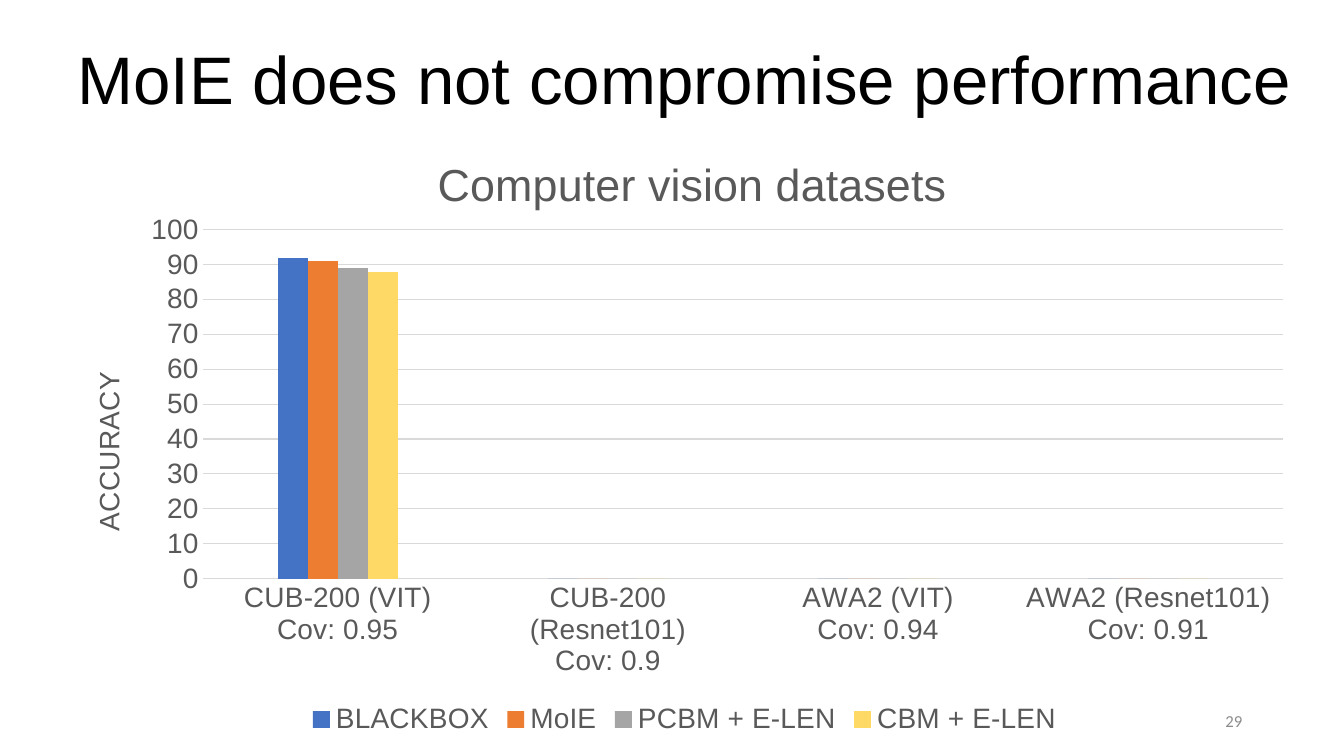
"""Build a slide with a clustered column chart of accuracy on vision datasets."""
import pptx
import pptx.chart.data
import pptx.dml.color
import pptx.enum.chart
import pptx.enum.text
import pptx.oxml
import pptx.oxml.ns
import pptx.util
from pptx.util import Inches

COLOURS = {"title": "000000", "label": "595959", "grid": "D9D9D9", "number": "8C8C8C"}
CATEGORIES = [
    "CUB-200 (VIT)\nCov: 0.95",
    "CUB-200 (Resnet101)\nCov: 0.9",
    "AWA2 (VIT)\nCov: 0.94",
    "AWA2 (Resnet101)\nCov: 0.91",
]
SERIES = [
    ("BLACKBOX", (92, 0, 0, 0), "4472C4"),
    ("MoIE", (91, 0, 0, 0), "ED7D31"),
    ("PCBM + E-LEN", (89, 0, 0, 0), "A5A5A5"),
    ("CBM + E-LEN", (88, 0, 0, 0), "FFD966"),
]
CHART_BOX = (0.6, 1.23, 12.38, 6.12)
PLOT_BOX = (2.01, 2.28, 10.72, 3.46)
CHART_TITLE_AT = (4.26, 1.46)
AXIS_TITLE_AT = (0.85, 3.64)


def rgb(colour):
    return pptx.dml.color.RGBColor.from_string(colour)


def set_font(font, size, colour, name="Arial"):
    font.size = pptx.util.Pt(size)
    font.name = name
    font.bold = False
    font.color.rgb = rgb(colour)


def write_text(frame, text, size=20, colour=COLOURS["label"], name="Arial", align="CENTER"):
    paragraph = frame.paragraphs[0]
    paragraph.alignment = getattr(pptx.enum.text.PP_ALIGN, align)
    run = paragraph.add_run()
    run.text = text
    set_font(run.font, size, colour, name)


def add_text(slide, box, text, anchor="TOP", **text_format):
    frame = slide.shapes.add_textbox(*map(Inches, box)).text_frame
    frame.word_wrap = True
    frame.vertical_anchor = getattr(pptx.enum.text.MSO_ANCHOR, anchor)
    write_text(frame, text, **text_format)


def place(element, box, index, inner=False):
    left, top, width, height = CHART_BOX
    fractions = [(box[0] - left) / width, (box[1] - top) / height]
    fractions += [size / total for size, total in zip(box[2:], (width, height))]
    for layout in element.findall(pptx.oxml.ns.qn("c:layout")):
        element.remove(layout)
    target = '<c:layoutTarget val="inner"/>' if inner else ""
    modes = '<c:xMode val="edge"/><c:yMode val="edge"/>'
    values = "".join(f'<c:{key} val="{value:.4f}"/>' for key, value in zip("xywh", fractions))
    namespace = pptx.oxml.ns.nsdecls("c")
    element.insert(index, pptx.oxml.parse_xml(
        f"<c:layout {namespace}><c:manualLayout>{target}{modes}{values}</c:manualLayout></c:layout>"))


def style_line(line):
    line.color.rgb = rgb(COLOURS["grid"])
    line.width = pptx.util.Pt(0.75)


def style_axes(chart):
    for axis in (chart.category_axis, chart.value_axis):
        axis.major_tick_mark = axis.minor_tick_mark = pptx.enum.chart.XL_TICK_MARK.NONE
        set_font(axis.tick_labels.font, 20, COLOURS["label"])
    style_line(chart.category_axis.format.line)
    value_axis = chart.value_axis
    value_axis.minimum_scale, value_axis.maximum_scale, value_axis.major_unit = 0, 100, 10
    value_axis.format.line.fill.background()
    style_line(value_axis.major_gridlines.format.line)
    write_text(value_axis.axis_title.text_frame, "ACCURACY")
    value_axis.axis_title.text_frame._txBody.bodyPr.set("rot", "-5400000")
    value_axis.axis_title.text_frame._txBody.bodyPr.set("vert", "horz")


def add_accuracy_chart(slide):
    data = pptx.chart.data.CategoryChartData()
    data.categories = CATEGORIES
    for name, values, _ in SERIES:
        data.add_series(name, values)
    chart = slide.shapes.add_chart(
        pptx.enum.chart.XL_CHART_TYPE.COLUMN_CLUSTERED, *map(Inches, CHART_BOX), data).chart
    set_font(chart.font, 20, COLOURS["title"], "Calibri")
    write_text(chart.chart_title.text_frame, "Computer vision datasets", size=32)
    style_axes(chart)
    chart.has_legend = True
    chart.legend.position = pptx.enum.chart.XL_LEGEND_POSITION.BOTTOM
    chart.legend.include_in_layout = False
    set_font(chart.legend.font, 20, COLOURS["label"])
    plot = chart.plots[0]
    plot.gap_width, plot.overlap, plot.vary_by_categories = 500, 0, False
    for series, (_, _, colour) in zip(plot.series, SERIES):
        series.format.fill.solid()
        series.format.fill.fore_color.rgb = rgb(colour)
    place(chart.chart_title._element, CHART_TITLE_AT, 1)
    place(chart.value_axis.axis_title._element, AXIS_TITLE_AT, 1)
    place(chart._chartSpace.chart.plotArea, PLOT_BOX, 0, inner=True)


def main():
    presentation = pptx.Presentation()
    presentation.slide_width, presentation.slide_height = Inches(13.33), Inches(7.5)
    slide = presentation.slides.add_slide(presentation.slide_layouts[6])
    add_accuracy_chart(slide)
    add_text(slide, (0.43, 0.32, 12.72, 0.91), "MoIE does not compromise performance",
             size=48, colour=COLOURS["title"])
    add_text(slide, (9.42, 6.95, 3, 0.4), "29", anchor="MIDDLE", size=12,
             colour=COLOURS["number"], name="Calibri", align="RIGHT")
    presentation.save("out.pptx")


if __name__ == "__main__":
    main()
